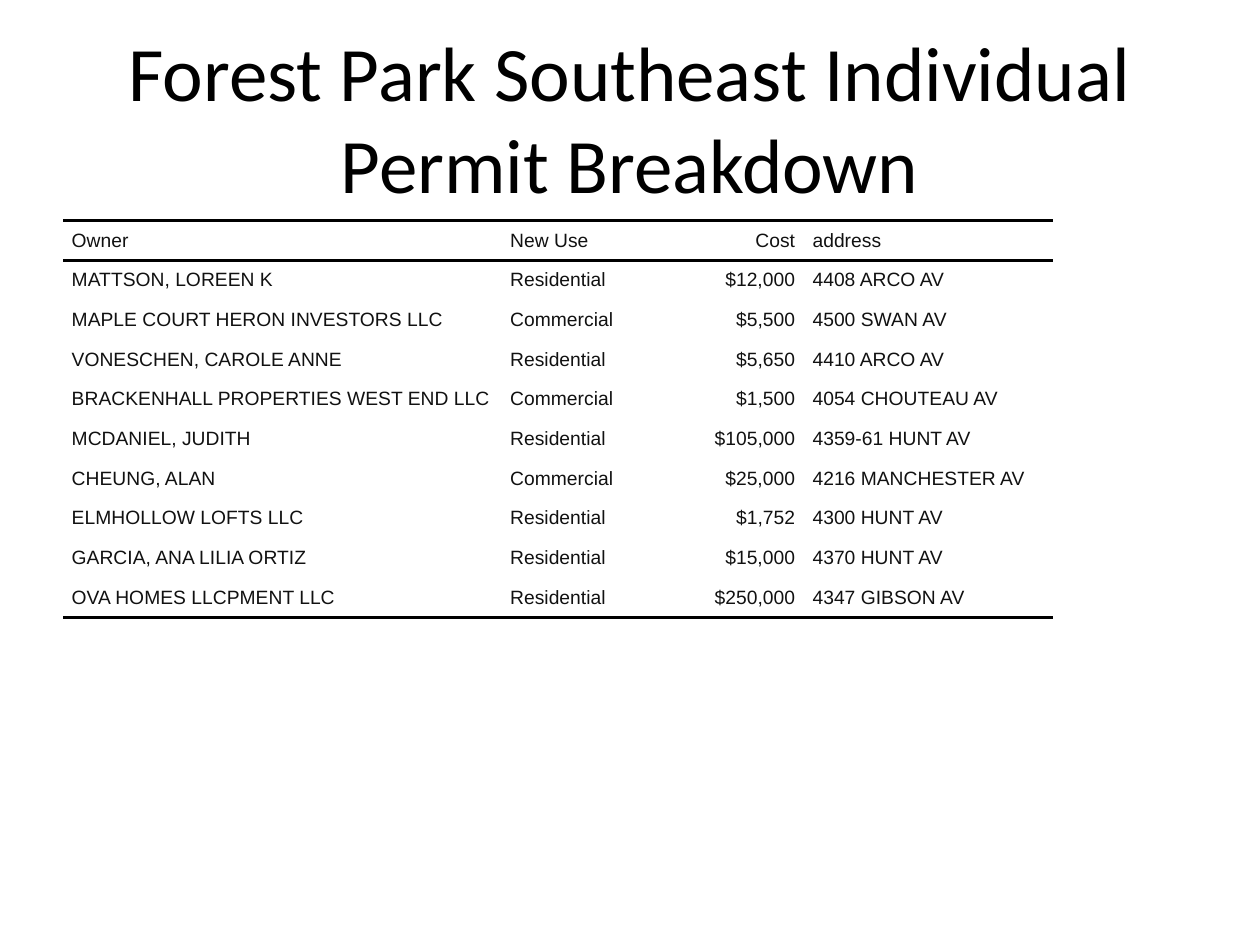
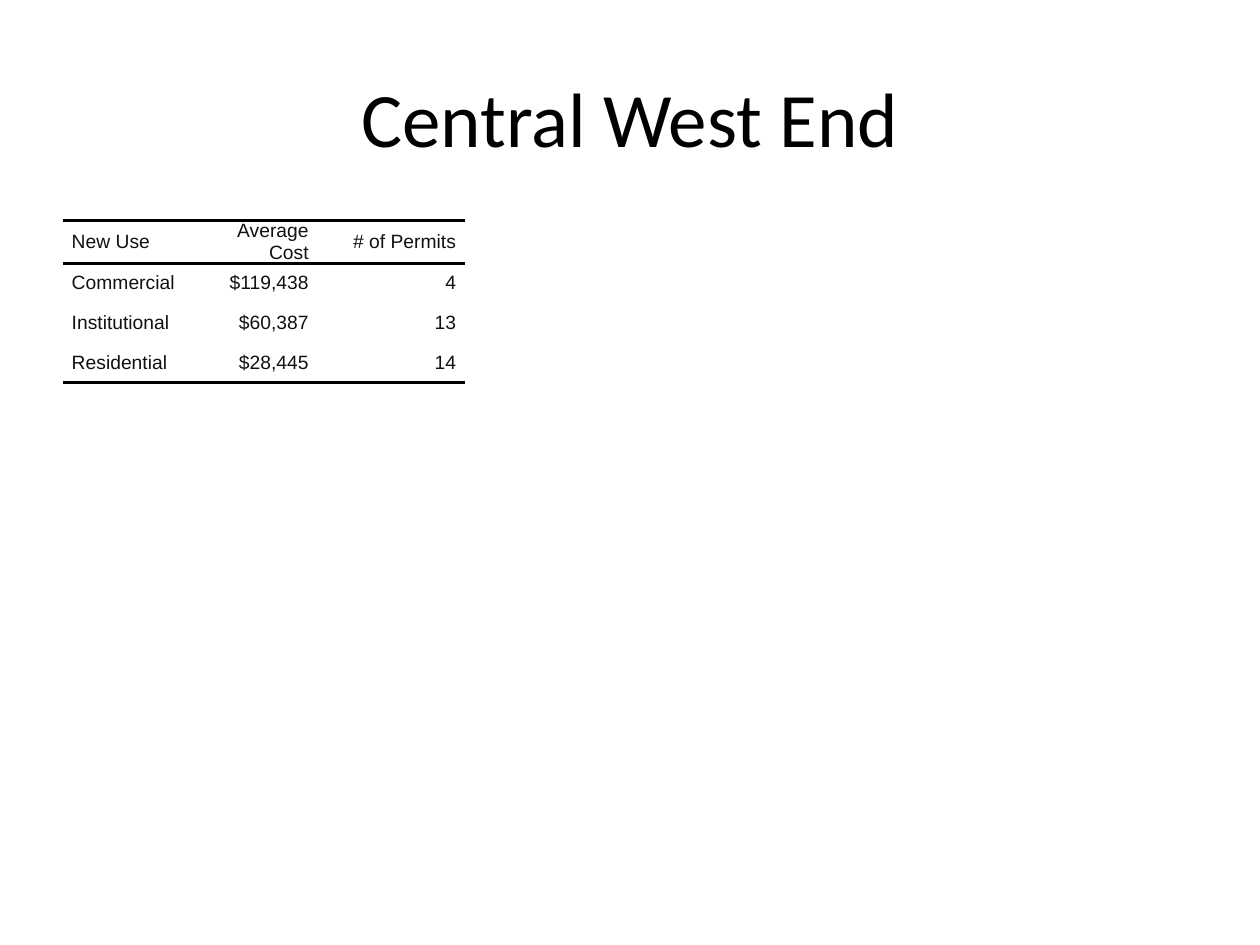
from dataclasses import dataclass

import pptx
import pptx.dml.color
import pptx.enum.text
import pptx.oxml
import pptx.oxml.ns
import pptx.presentation
import pptx.table
import pptx.util
from pptx.util import Pt

BLACK = "000000"
TABLE_TEXT = "111111"
TITLE_FONT = "Calibri"
TABLE_FONT = "Arial"
TITLE_ONLY_LAYOUT = 5
PLAIN_TABLE_STYLE = "{2D5ABB26-0587-4C30-8999-92F81FD0307C}"
ROW_HEIGHT = Pt(22.68)
CELL_INDENT = Pt(5)
RULE_WIDTH = Pt(2)


@dataclass(frozen=True)
class Column:
    heading: str
    width: float
    right_aligned: bool = False


@dataclass(frozen=True)
class TableSlide:
    title: str
    columns: list[Column]
    records: list[tuple[str, ...]]


PERMIT_SLIDES = [
    TableSlide(
        "Forest Park Southeast Individual Permit Breakdown",
        [
            Column("Owner", 250.56),
            Column("New Use", 79.2),
            Column("Cost", 93.6, right_aligned=True),
            Column("address", 142.56),
        ],
        [
            ("MATTSON, LOREEN K", "Residential", "$12,000", "4408 ARCO AV"),
            ("MAPLE COURT HERON INVESTORS LLC", "Commercial", "$5,500", "4500 SWAN AV"),
            ("VONESCHEN, CAROLE ANNE", "Residential", "$5,650", "4410 ARCO AV"),
            ("BRACKENHALL PROPERTIES WEST END LLC", "Commercial", "$1,500", "4054 CHOUTEAU AV"),
            ("MCDANIEL, JUDITH", "Residential", "$105,000", "4359-61 HUNT AV"),
            ("CHEUNG, ALAN", "Commercial", "$25,000", "4216 MANCHESTER AV"),
            ("ELMHOLLOW LOFTS LLC", "Residential", "$1,752", "4300 HUNT AV"),
            ("GARCIA, ANA LILIA ORTIZ", "Residential", "$15,000", "4370 HUNT AV"),
            ("OVA HOMES LLCPMENT LLC", "Residential", "$250,000", "4347 GIBSON AV"),
        ],
    ),
    TableSlide(
        "Central West End",
        [
            Column("New Use", 79.2),
            Column("Average Cost", 66.24, right_aligned=True),
            Column("# of Permits", 84.24, right_aligned=True),
        ],
        [
            ("Commercial", "$119,438", "4"),
            ("Institutional", "$60,387", "13"),
            ("Residential", "$28,445", "14"),
        ],
    ),
]


def rgb(color: str) -> pptx.dml.color.RGBColor:
    return pptx.dml.color.RGBColor.from_string(color)


def format_paragraph(paragraph, font_name: str, size: float, color: str) -> None:
    for run in paragraph.runs:
        run.font.name = font_name
        run.font.size = Pt(size)
        run.font.color.rgb = rgb(color)


def add_rule(cell: pptx.table._Cell, side: str) -> None:
    """Draw a border on one side of a cell: lnT for top, lnB for bottom."""
    namespace = pptx.oxml.ns.nsdecls("a")
    cell._tc.get_or_add_tcPr().append(pptx.oxml.parse_xml(
        f'<a:{side} {namespace} w="{RULE_WIDTH}"><a:solidFill>'
        f'<a:srgbClr val="{BLACK}"/></a:solidFill></a:{side}>'
    ))


def fill_cell(cell: pptx.table._Cell, text: str, column: Column) -> None:
    cell.margin_left = cell.margin_right = cell.margin_top = cell.margin_bottom = 0
    cell.vertical_anchor = pptx.enum.text.MSO_ANCHOR.MIDDLE
    cell.fill.background()
    paragraph = cell.text_frame.paragraphs[0]
    paragraph.text = text
    alignment = pptx.enum.text.PP_ALIGN
    paragraph.alignment = alignment.RIGHT if column.right_aligned else alignment.LEFT
    paragraph.space_before = paragraph.space_after = Pt(2)
    properties = paragraph._p.get_or_add_pPr()
    for name, value in (("marL", CELL_INDENT), ("marR", CELL_INDENT), ("indent", 0)):
        properties.set(name, str(value))
    format_paragraph(paragraph, TABLE_FONT, 11, TABLE_TEXT)


def add_permit_table(slide, columns: list[Column], records: list[tuple[str, ...]]) -> None:
    rows = [tuple(column.heading for column in columns), *records]
    width, height = Pt(648), Pt(356.4)
    frame = slide.shapes.add_table(len(rows), len(columns), Pt(36), Pt(126), width, height)
    for style in frame.element.iter(pptx.oxml.ns.qn("a:tableStyleId")):
        style.text = PLAIN_TABLE_STYLE
    table = frame.table
    table.first_row = table.horz_banding = False
    for table_column, column in zip(table.columns, columns):
        table_column.width = Pt(column.width)
    for row_index, values in enumerate(rows):
        table.rows[row_index].height = ROW_HEIGHT
        for column_index, (text, column) in enumerate(zip(values, columns)):
            cell = table.cell(row_index, column_index)
            if row_index == 0:
                add_rule(cell, "lnT")
            if row_index in (0, len(rows) - 1):
                add_rule(cell, "lnB")
            fill_cell(cell, text, column)
    frame.width, frame.height = width, height


def add_table_slide(presentation: pptx.presentation.Presentation, content: TableSlide) -> None:
    slide = presentation.slides.add_slide(presentation.slide_layouts[TITLE_ONLY_LAYOUT])
    title = slide.shapes.title
    title.left, title.top, title.width, title.height = Pt(36), Pt(21.6), Pt(648), Pt(90)
    title.text_frame.text = content.title
    title.text_frame.vertical_anchor = pptx.enum.text.MSO_ANCHOR.MIDDLE
    paragraph = title.text_frame.paragraphs[0]
    paragraph.alignment = pptx.enum.text.PP_ALIGN.CENTER
    format_paragraph(paragraph, TITLE_FONT, 44, BLACK)
    add_permit_table(slide, content.columns, content.records)


def main() -> None:
    presentation = pptx.Presentation()
    presentation.slide_width, presentation.slide_height = Pt(720), Pt(540)
    for content in PERMIT_SLIDES:
        add_table_slide(presentation, content)
    presentation.save("out.pptx")


if __name__ == "__main__":
    main()
